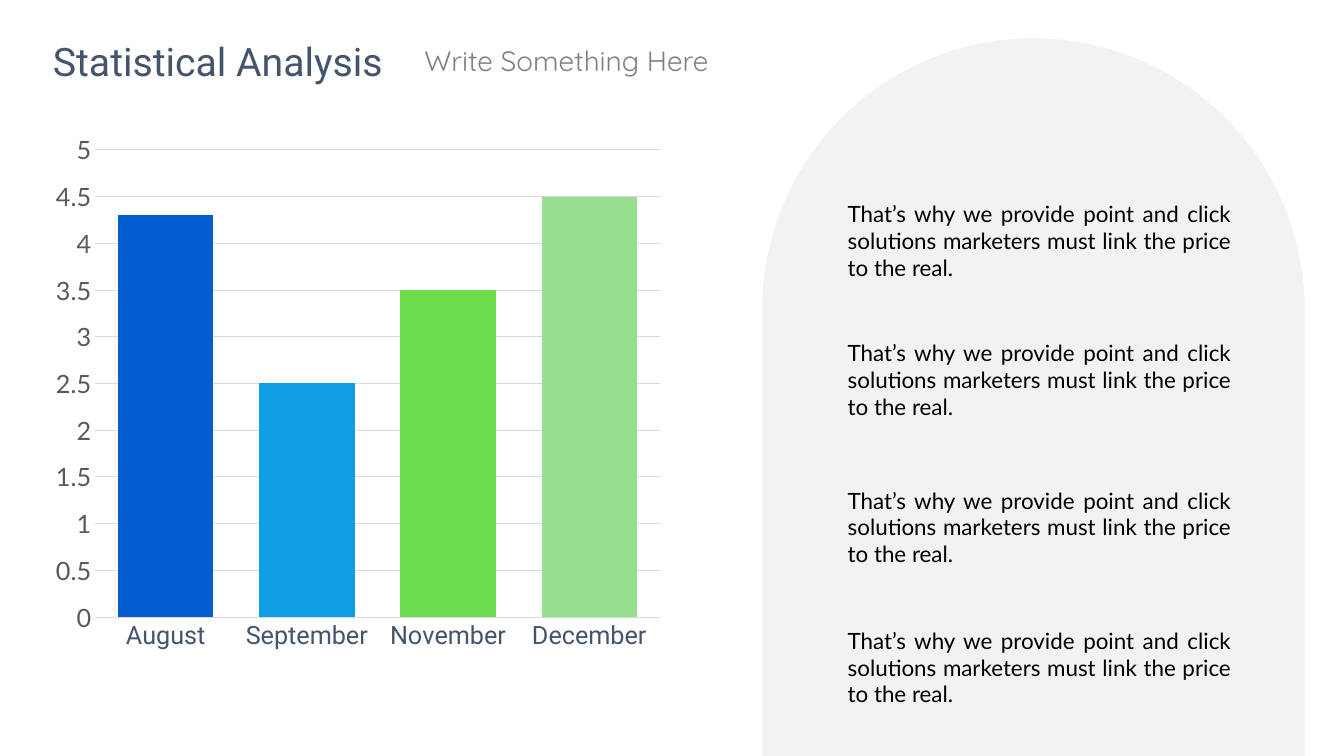
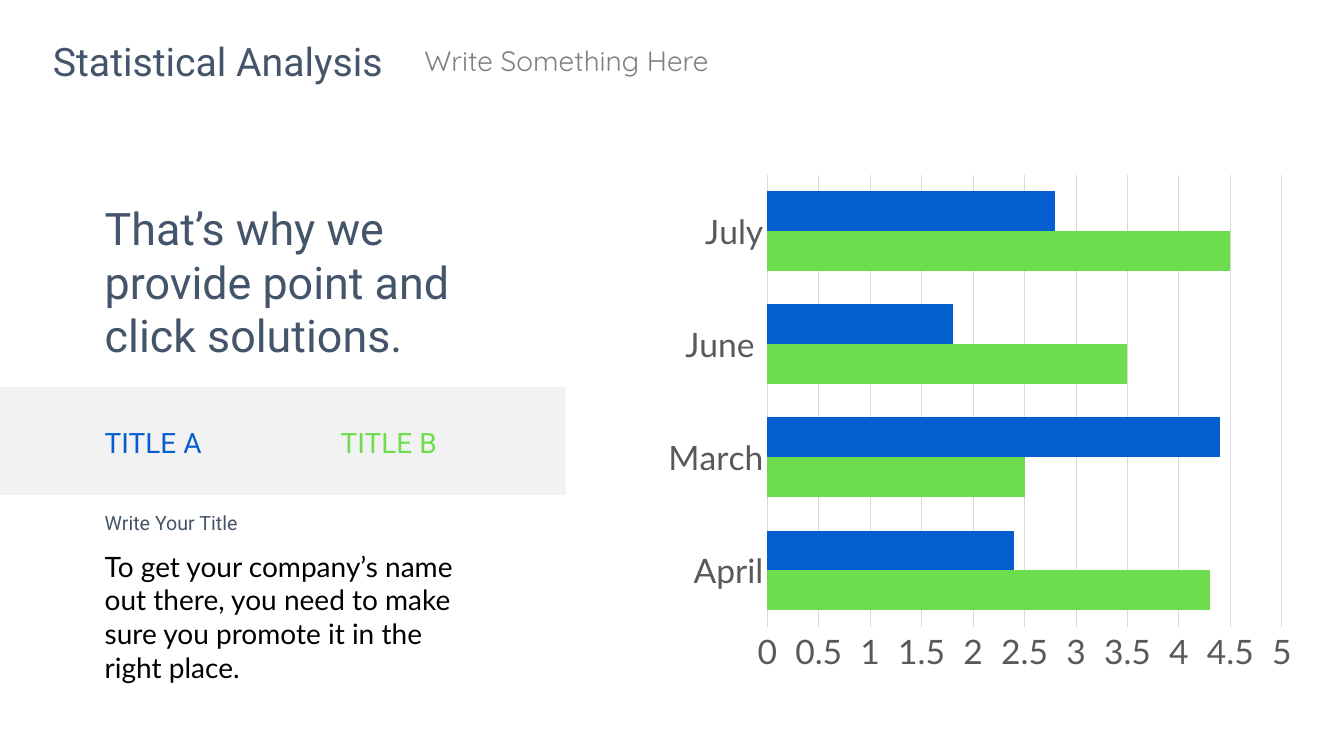
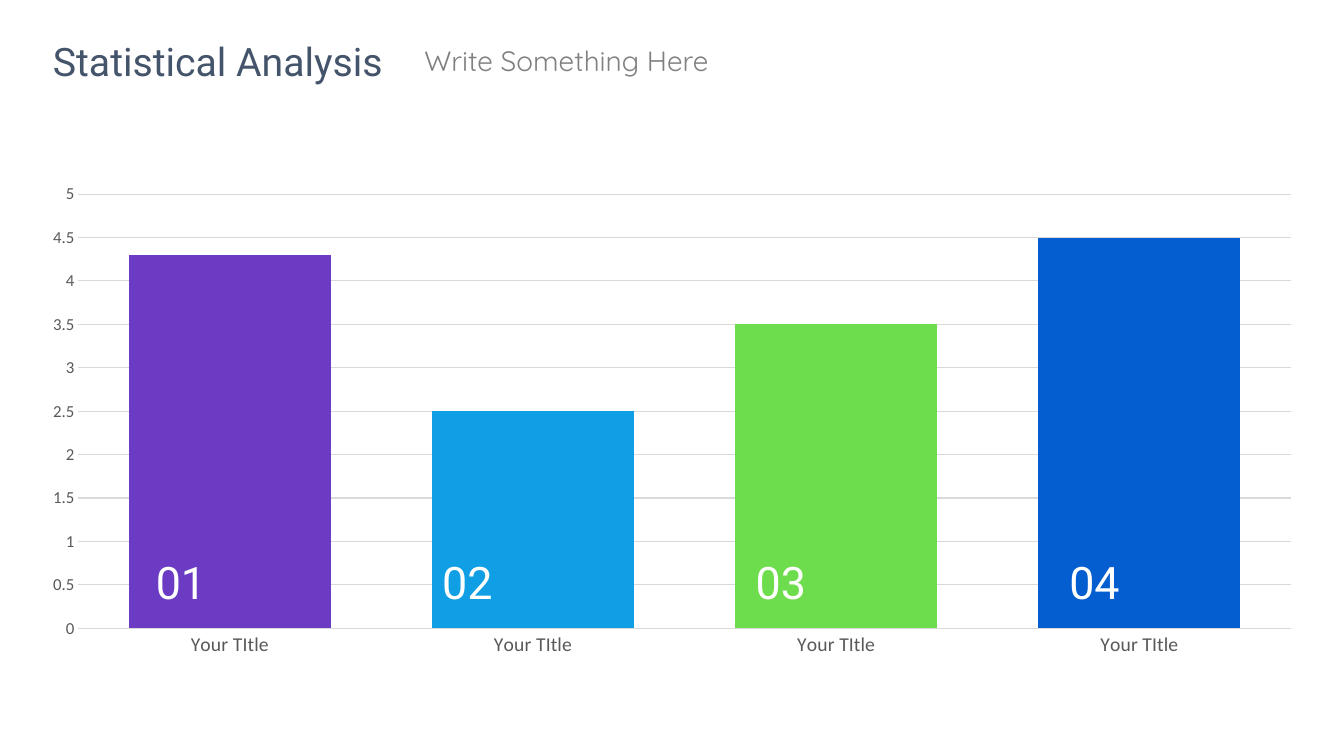
from dataclasses import dataclass
from typing import Any, NamedTuple

from pptx import Presentation
from pptx.chart.data import CategoryChartData
from pptx.dml.color import RGBColor
from pptx.enum.chart import XL_CHART_TYPE, XL_TICK_MARK
from pptx.enum.shapes import MSO_SHAPE
from pptx.enum.text import MSO_ANCHOR, MSO_AUTO_SIZE, PP_ALIGN
from pptx.util import Inches, Pt


@dataclass(frozen=True)
class Theme:
    ink: str = "44546A"
    black: str = "000000"
    white: str = "FFFFFF"
    subtitle: str = "808080"
    axis_text: str = "595959"
    grid: str = "D9D9D9"
    panel: str = "F2F2F2"
    blue: str = "045ED0"
    sky: str = "109FE4"
    green: str = "6EDD4D"
    mint: str = "98DE91"
    purple: str = "6B3BC4"
    heading_font: str = "Roboto"
    subtitle_font: str = "Quicksand"
    body_font: str = "Lato"
    chart_font: str = "Calibri"
    title_size: int = 28
    display_size: int = 32
    large_size: int = 24
    medium_size: int = 20
    label_size: int = 18
    body_size: int = 16
    small_size: int = 14
    tick_size: int = 12


THEME = Theme()


class Box(NamedTuple):
    left: float
    top: float
    width: float
    height: float

    def lengths(self) -> tuple:
        return tuple(Inches(value) for value in self)


class TextStyle(NamedTuple):
    size: int
    font: str
    color: str
    alignment: Any = PP_ALIGN.LEFT


class Series(NamedTuple):
    name: str
    values: tuple
    colors: tuple


@dataclass(frozen=True)
class ChartSpecification:
    kind: Any
    box: Box
    categories: tuple
    series: tuple
    gap: int
    overlap: int
    category_style: TextStyle
    value_style: TextStyle


TITLE = TextStyle(THEME.title_size, THEME.heading_font, THEME.ink, PP_ALIGN.CENTER)
SUBTITLE = TextStyle(THEME.medium_size, THEME.subtitle_font, THEME.subtitle)
JUSTIFIED = TextStyle(THEME.body_size, THEME.body_font, THEME.black, PP_ALIGN.JUSTIFY)
BODY = TextStyle(THEME.medium_size, THEME.body_font, THEME.black)
STATEMENT = TextStyle(THEME.display_size, THEME.heading_font, THEME.ink)
CAPTION = TextStyle(THEME.small_size, THEME.heading_font, THEME.ink)
NUMBER = TextStyle(THEME.display_size, THEME.heading_font, THEME.white, PP_ALIGN.CENTER)

RESULTS = (4.3, 2.5, 3.5, 4.5)
LARGE_AXIS = TextStyle(THEME.large_size, THEME.body_font, THEME.axis_text)

MONTHLY_COLUMNS = ChartSpecification(
    XL_CHART_TYPE.COLUMN_CLUSTERED,
    Box(0.43, 1.23, 6.24, 5.33),
    ("August", "September", "November", "December"),
    (Series("Series 1", RESULTS, (THEME.blue, THEME.sky, THEME.green, THEME.mint)),),
    48,
    -27,
    TextStyle(THEME.label_size, THEME.heading_font, THEME.ink),
    TextStyle(THEME.label_size, THEME.body_font, THEME.axis_text),
)
COMPARISON_BARS = ChartSpecification(
    XL_CHART_TYPE.BAR_CLUSTERED,
    Box(6.5, 1.63, 6.44, 5.14),
    ("April", "March", "June ", "July"),
    (
        Series("Series 1", RESULTS, (THEME.green,)),
        Series("Series 2", (2.4, 4.4, 1.8, 2.8), (THEME.blue,)),
    ),
    83,
    0,
    LARGE_AXIS,
    LARGE_AXIS,
)
NUMBERED_COLUMNS = ChartSpecification(
    XL_CHART_TYPE.COLUMN_CLUSTERED,
    Box(0.27, 1.73, 12.79, 4.88),
    ("Your TItle",) * 4,
    (Series("Series 1", RESULTS, (THEME.purple, THEME.sky, THEME.green, THEME.blue)),),
    50,
    -56,
    TextStyle(THEME.small_size, THEME.chart_font, THEME.axis_text),
    TextStyle(THEME.tick_size, THEME.chart_font, THEME.axis_text),
)


def set_attributes(target: Any, values: dict) -> None:
    for name, value in values.items():
        setattr(target, name, value)


def style_font(font: Any, style: TextStyle) -> None:
    set_attributes(font, {"size": Pt(style.size), "name": style.font, "bold": False})
    font.color.rgb = RGBColor.from_string(style.color)


def fill_solid(fill: Any, color: str) -> None:
    fill.solid()
    fill.fore_color.rgb = RGBColor.from_string(color)


def style_line(line: Any, color: str) -> None:
    line.width = Pt(0.75)
    line.color.rgb = RGBColor.from_string(color)


def write_text(shape: Any, text: str, style: TextStyle) -> None:
    frame = shape.text_frame
    frame.text = text
    set_attributes(frame, {
        "word_wrap": True,
        "auto_size": MSO_AUTO_SIZE.SHAPE_TO_FIT_TEXT,
        "vertical_anchor": MSO_ANCHOR.TOP,
    })
    paragraph = frame.paragraphs[0]
    paragraph.alignment = style.alignment
    style_font(paragraph.runs[0].font, style)


def add_text(slide: Any, box: Box, text: str, style: TextStyle) -> None:
    write_text(slide.shapes.add_textbox(*box.lengths()), text, style)


def add_panel(slide: Any, kind: Any, box: Box) -> Any:
    shape = slide.shapes.add_shape(kind, *box.lengths())
    shape.shadow.inherit = False
    fill_solid(shape.fill, THEME.panel)
    shape.line.fill.background()
    return shape


def style_axis(axis: Any, style: TextStyle) -> None:
    set_attributes(axis, {
        "major_tick_mark": XL_TICK_MARK.NONE,
        "minor_tick_mark": XL_TICK_MARK.NONE,
    })
    style_font(axis.tick_labels.font, style)


def add_chart(slide: Any, specification: ChartSpecification) -> None:
    data = CategoryChartData()
    data.categories = specification.categories
    for series in specification.series:
        data.add_series(series.name, series.values)
    frame = slide.shapes.add_chart(specification.kind, *specification.box.lengths(), data)
    chart = frame.chart
    set_attributes(chart, {"has_title": False, "has_legend": False})
    style_font(chart.font, specification.value_style)

    plot = chart.plots[0]
    set_attributes(plot, {
        "vary_by_categories": False,
        "gap_width": specification.gap,
        "overlap": specification.overlap,
    })
    for drawn, series in zip(plot.series, specification.series):
        fill_solid(drawn.format.fill, series.colors[0])
        if len(series.colors) > 1:
            for index, color in enumerate(series.colors):
                fill_solid(drawn.points[index].format.fill, color)

    style_axis(chart.category_axis, specification.category_style)
    style_line(chart.category_axis.format.line, THEME.grid)
    value_axis = chart.value_axis
    style_axis(value_axis, specification.value_style)
    set_attributes(value_axis, {
        "minimum_scale": 0,
        "maximum_scale": 5,
        "major_unit": 0.5,
        "has_major_gridlines": True,
    })
    value_axis.format.line.fill.background()
    style_line(value_axis.major_gridlines.format.line, THEME.grid)


def add_statistics_slide(presentation: Any, specification: ChartSpecification) -> Any:
    slide = presentation.slides.add_slide(presentation.slide_layouts.get_by_name("Title Only"))
    title = slide.shapes.title
    box = Box(0.4, 0.32, 3.52, 0.57)
    set_attributes(title, dict(zip(("left", "top", "width", "height"), box.lengths())))
    write_text(title, "Statistical Analysis", TITLE)
    add_text(slide, Box(4.11, 0.38, 4, 0.44), "Write Something Here", SUBTITLE)
    add_chart(slide, specification)
    return slide


def build_monthly_slide(presentation: Any) -> None:
    slide = add_statistics_slide(presentation, MONTHLY_COLUMNS)
    arch = add_panel(slide, MSO_SHAPE.ROUND_2_SAME_RECTANGLE, Box(7.56, 0.38, 5.38, 7.12))
    arch.adjustments[0] = 0.5
    message = (
        "That’s why we provide point and click solutions "
        "marketers must link the price to the real."
    )
    for top in (1.94, 3.32, 4.78, 6.17):
        add_text(slide, Box(8.31, top, 4, 0.94), message, JUSTIFIED)


def build_comparison_slide(presentation: Any) -> None:
    slide = add_statistics_slide(presentation, COMPARISON_BARS)
    add_panel(slide, MSO_SHAPE.RECTANGLE, Box(0, 3.84, 5.61, 1.07))
    left = 0.94
    add_text(
        slide, Box(left, 1.94, 4, 1.72),
        "That’s why we provide point and click solutions.", STATEMENT,
    )
    for label_left, label, color in (
        (left, "TITLE A", THEME.blue),
        (3.28, "TITLE B", THEME.green),
    ):
        style = TextStyle(THEME.medium_size, THEME.heading_font, color)
        add_text(slide, Box(label_left, 4.17, 1.34, 0.44), label, style)
    add_text(slide, Box(left, 5.02, 3.1, 0.34), "Write Your Title", CAPTION)
    add_text(
        slide, Box(left, 5.4, 3.8, 1.45),
        "To get your company’s name out there, you need to make sure "
        "you promote it in the right place.", BODY,
    )


def build_numbered_slide(presentation: Any) -> None:
    slide = add_statistics_slide(presentation, NUMBERED_COLUMNS)
    for number, left in enumerate((1.34, 4.18, 7.29, 10.4), start=1):
        add_text(slide, Box(left, 5.45, 0.91, 0.64), f"{number:02}", NUMBER)


def main() -> None:
    presentation = Presentation()
    set_attributes(presentation, {
        "slide_width": Inches(13.33),
        "slide_height": Inches(7.5),
    })
    for build in (build_monthly_slide, build_comparison_slide, build_numbered_slide):
        build(presentation)
    presentation.save("out.pptx")


if __name__ == "__main__":
    main()
